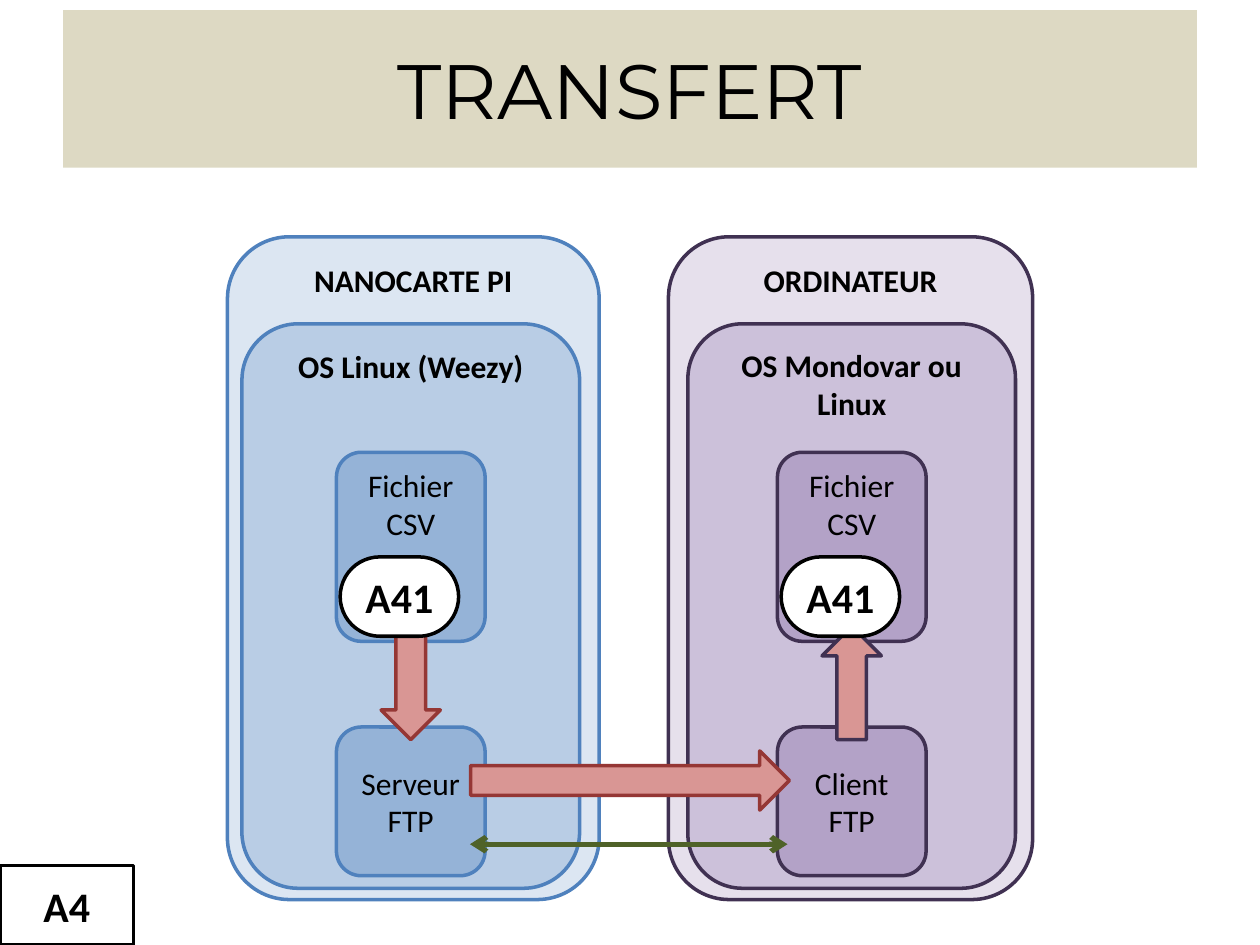
from pptx import Presentation
from pptx.dml.color import RGBColor
from pptx.enum.shapes import MSO_CONNECTOR, MSO_SHAPE
from pptx.enum.text import MSO_ANCHOR, PP_ALIGN
from pptx.oxml.ns import qn
from pptx.util import Inches, Pt
from lxml.etree import SubElement

WIDE, HIGH = 10, 7.5
ROUND = MSO_SHAPE.ROUNDED_RECTANGLE
TOP, MID = MSO_ANCHOR.TOP, MSO_ANCHOR.MIDDLE
COLS = (3.26, 6.76)
ROWS = {
    "case": (1.88, 5.26),
    "os": (2.57, 4.48),
    "file": (3.59, 1.5),
    "badge": (4.42, 0.63),
    "move": (4.97, 0.9),
    "ftp": (5.77, 1.18),
    "send": (5.96, 0.47),
}
SIDES = [
    {
        "line": "4F81BD", "edge": "953735", "arrow": MSO_SHAPE.DOWN_ARROW,
        "boxes": [
            ("case", 0.02, 2.95, "DCE6F2", "NANOCARTE PI", True, TOP),
            ("os", 0, 2.68, "B9CDE5", "OS Linux (Weezy)", True, TOP),
            ("file", 0, 1.18, "95B3D7", "Fichier CSV", False, TOP),
            ("ftp", 0, 1.18, "95B3D7", "Serveur FTP", False, MID),
        ],
    },
    {
        "line": "403152", "edge": "403152", "arrow": MSO_SHAPE.UP_ARROW,
        "boxes": [
            ("case", -0.01, 2.89, "E6E0EC", "ORDINATEUR", True, TOP),
            ("os", 0, 2.6, "CCC1DA", "OS Mondovar ou Linux", True, TOP),
            ("file", 0, 1.18, "B3A2C7", "Fichier CSV", False, TOP),
            ("ftp", 0, 1.18, "B3A2C7", "Client FTP", False, MID),
        ],
    },
]


def paint(text):
    return RGBColor.from_string(text)


def write(shape, text, size, bold=False, anchor=MID, font="Calibri"):
    frame = shape.text_frame
    frame.text = text
    frame.word_wrap = True
    frame.vertical_anchor = anchor
    para = frame.paragraphs[0]
    para.alignment = PP_ALIGN.CENTER
    look = para.runs[0].font
    look.name, look.size, look.bold = font, Pt(size), bold
    look.color.rgb = paint("000000")


def draw(kind, mid, row, wide, fill, line):
    top, high = row
    place = [Inches(v) for v in (mid - wide / 2, top, wide, high)]
    shape = slide.shapes.add_shape(kind, *place)
    shape.shadow.inherit = False
    if fill:
        shape.fill.solid()
        shape.fill.fore_color.rgb = paint(fill)
    else:
        shape.fill.background()
    shape.line.color.rgb = paint(line)
    shape.line.width = Pt(2)
    return shape


deck = Presentation()
deck.slide_width, deck.slide_height = Inches(WIDE), Inches(HIGH)
slide = deck.slides.add_slide(deck.slide_layouts[5])

title = slide.shapes.title
title.left, title.top = Inches(WIDE * 0.05), Inches(0.08)
title.width, title.height = Inches(WIDE * 0.9), Inches(1.25)
title.fill.solid()
title.fill.fore_color.rgb = paint("DDD9C3")
write(title, "TRANSFERT", 44, font="Montserrat")

tag = draw(MSO_SHAPE.RECTANGLE, 0.53, (HIGH - 0.63, 0.63), 1.06, None, "000000")
write(tag, "A4", 24, True)

for mid, side in zip(COLS, SIDES):
    for row, shift, wide, fill, text, bold, anchor in side["boxes"]:
        box = draw(ROUND, mid + shift, ROWS[row], wide, fill, side["line"])
        write(box, text, 18, bold, anchor)
    draw(side["arrow"], mid, ROWS["move"], 0.47, "D99694", side["edge"])

center = sum(COLS) / 2 - 0.01
draw(MSO_SHAPE.RIGHT_ARROW, center, ROWS["send"], 2.53, "D99694", "953735")

link = slide.shapes.add_connector(
    MSO_CONNECTOR.STRAIGHT, Inches(6.25), Inches(6.7), Inches(3.73), Inches(6.7))
link.line.color.rgb = paint("4F6228")
link.line.width = Pt(3)
for end in ("a:headEnd", "a:tailEnd"):
    SubElement(link.line._get_or_add_ln(), qn(end), type="arrow")
SubElement(link._element.spPr, qn("a:effectLst"))

for mid in COLS:
    badge = draw(ROUND, mid - 0.09, ROWS["badge"], 0.94, "FFFFFF", "000000")
    badge.adjustments[0] = 0.5
    write(badge, "A41", 24, True)

deck.save("out.pptx")
